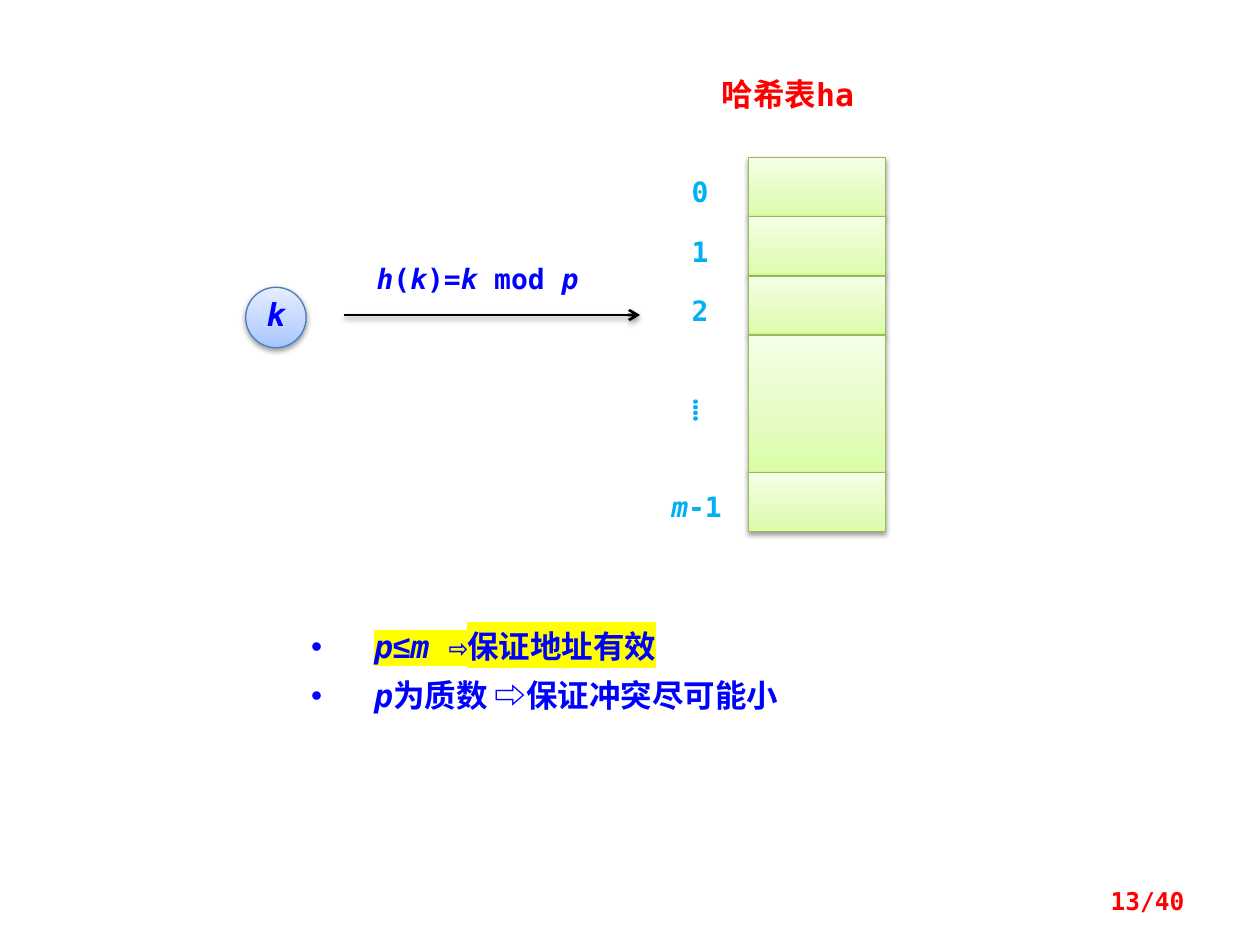
from lxml.etree import SubElement
from pptx import Presentation
from pptx.dml.color import RGBColor
from pptx.enum.shapes import MSO_CONNECTOR, MSO_SHAPE
from pptx.enum.text import MSO_ANCHOR, MSO_AUTO_SIZE, PP_ALIGN
from pptx.oxml.ns import qn
from pptx.util import Inches, Pt

COLORS = {
    "index": "00B0F0", "accent": "FF0000", "body": "0000FF", "arrow": "000000",
    "shadow": "000000", "panel": "FFFFFF", "highlight": "FFFF00",
    "slot_line": "98B955", "key_line": "4B7EBC",
}
GRADIENTS = {
    "slot": {0: "DAFDA7", 35: "E4FCC2", 100: "F5FFE7"},
    "key": {0: "A4C4FF", 35: "BFD4FF", 100: "E6EEFF"},
}


class HashSlide:
    """Draws the hashing slide's elements in one shared style."""

    latin = "DejaVu Sans Mono"
    asian = "Noto Sans CJK SC"

    def __init__(self, slide):
        self.slide = slide

    def color(self, name):
        return RGBColor.from_string(COLORS[name])

    def shadow(self, element):
        effects = SubElement(element.spPr, qn("a:effectLst"))
        outer = SubElement(effects, qn("a:outerShdw"), blurRad=str(Pt(3.1)),
                           dist=str(Pt(1.6)), dir="5400000", rotWithShape="0")
        tint = SubElement(outer, qn("a:srgbClr"), val=COLORS["shadow"])
        SubElement(tint, qn("a:alpha"), val="38000")

    def fill_paragraph(self, paragraph, parts, size, color, latin=None):
        font = paragraph.font
        font.size, font.bold = Pt(size), True
        font.color.rgb = self.color(color)
        font.name = latin or self.latin
        SubElement(paragraph._p.pPr.find(qn("a:defRPr")), qn("a:ea"), typeface=self.asian)
        for words, *marks in parts:
            run = paragraph.add_run()
            run.text = words
            if "italic" in marks:
                run.font.italic = True
            if "highlight" in marks:
                marker = SubElement(run._r.get_or_add_rPr(), qn("a:highlight"))
                SubElement(marker, qn("a:srgbClr"), val=COLORS["highlight"])
            if "arial" in marks:
                run.font.name = "Arial"

    def block(self, kind, left, top, width, height, style):
        shape = self.slide.shapes.add_shape(
            kind, Inches(left), Inches(top), Inches(width), Inches(height))
        shape.fill.gradient()
        shape.fill.gradient_angle = 90
        stops = shape._element.spPr.find(qn("a:gradFill")).find(qn("a:gsLst"))
        for stop in list(stops):
            stops.remove(stop)
        for position, value in GRADIENTS[style].items():
            stop = SubElement(stops, qn("a:gs"), pos=str(position * 1000))
            SubElement(stop, qn("a:srgbClr"), val=value)
        shape.line.color.rgb = self.color(f"{style}_line")
        shape.line.width = Pt(0.75)
        self.shadow(shape._element)
        return shape

    def key(self, left, top, diameter, parts):
        circle = self.block(MSO_SHAPE.OVAL, left, top, diameter, diameter, "key")
        frame = circle.text_frame
        frame.word_wrap = False
        frame.vertical_anchor = MSO_ANCHOR.MIDDLE
        paragraph = frame.paragraphs[0]
        paragraph.alignment = PP_ALIGN.CENTER
        paragraph.line_spacing = 0.8
        self.fill_paragraph(paragraph, parts, 18, "body")

    def text(self, left, top, width, height, parts, size, color, latin=None):
        box = self.slide.shapes.add_textbox(
            Inches(left), Inches(top), Inches(width), Inches(height))
        frame = box.text_frame
        frame.word_wrap = True
        self.fill_paragraph(frame.paragraphs[0], parts, size, color, latin)
        return frame

    def arrow(self, left, right, y):
        line = self.slide.shapes.add_connector(
            MSO_CONNECTOR.STRAIGHT, Inches(left), Inches(y), Inches(right), Inches(y))
        line.line.color.rgb = self.color("arrow")
        line.line.width = Pt(1.5)
        SubElement(line._element.spPr.find(qn("a:ln")), qn("a:tailEnd"), type="arrow")
        self.shadow(line._element)

    def bullets(self, left, top, width, height, items):
        panel = self.slide.shapes.add_shape(
            MSO_SHAPE.RECTANGLE, Inches(left), Inches(top), Inches(width), Inches(height))
        panel.shadow.inherit = False
        panel.fill.solid()
        panel.fill.fore_color.rgb = self.color("panel")
        panel.line.fill.background()
        frame = panel.text_frame
        frame.word_wrap = True
        frame.auto_size = MSO_AUTO_SIZE.SHAPE_TO_FIT_TEXT
        frame.vertical_anchor = MSO_ANCHOR.TOP
        frame.margin_left, frame.margin_right = Inches(0.2), Inches(0.1)
        frame.margin_top = frame.margin_bottom = Inches(0.12)
        for number, parts in enumerate(items):
            paragraph = frame.add_paragraph() if number else frame.paragraphs[0]
            paragraph.alignment = PP_ALIGN.LEFT
            paragraph.line_spacing = Pt(28)
            properties = paragraph._p.get_or_add_pPr()
            properties.set("marL", str(Inches(0.5)))
            properties.set("indent", str(-Inches(0.5)))
            SubElement(properties, qn("a:buFont"), typeface="Arial")
            SubElement(properties, qn("a:buChar"), char="•")
            self.fill_paragraph(paragraph, parts, 18, "body")


def main():
    presentation = Presentation()
    presentation.slide_width, presentation.slide_height = Inches(10), Inches(7.5)
    page = HashSlide(presentation.slides.add_slide(presentation.slide_layouts[6]))

    row, gap = 0.47, 1.09
    slots = [
        (row, [("0",)]), (row, [("1",)]), (row, [("2",)]),
        (gap, [("⁞",)]), (row, [("m", "italic"), ("-1",)]),
    ]
    top = 1.25
    for height, index in slots:
        page.block(MSO_SHAPE.RECTANGLE, 5.94, top, 1.09, height, "slot")
        left, width = (5.23, 0.7) if len(index) > 1 else (5.39, 0.47)
        label_top = top + (0.41 if height == gap else 0.09)
        page.text(left, label_top, width, 0.37, index, 16, "index",
                  page.asian if height == gap else None)
        top += height

    page.text(5.63, 0.55, 1.64, 0.4, [("哈希表ha",)], 18, "accent")
    page.key(1.95, 2.28, 0.48, [("k", "italic")])
    page.arrow(2.73, 5.08, 2.5)
    page.text(2.89, 2.03, 1.88, 0.37, [
        ("h", "italic"), ("(",), ("k", "italic"), (")=",),
        ("k", "italic"), (" mod ",), ("p", "italic"),
    ], 16, "body")
    page.bullets(2.27, 4.77, 4.3, 1.02, [
        [("p", "italic", "highlight"), ("≤", "highlight", "arial"),
         ("m", "italic", "highlight"), (" ⇨保证地址有效", "highlight")],
        [("p", "italic"), ("为质数 ⇨保证冲突尽可能小",)],
    ])
    page_number = page.text(7.17, 6.95, 2.33, 0.4, [("13/40",)], 14, "accent")
    page_number.vertical_anchor = MSO_ANCHOR.MIDDLE
    page_number.paragraphs[0].alignment = PP_ALIGN.RIGHT

    presentation.save("out.pptx")


if __name__ == "__main__":
    main()
